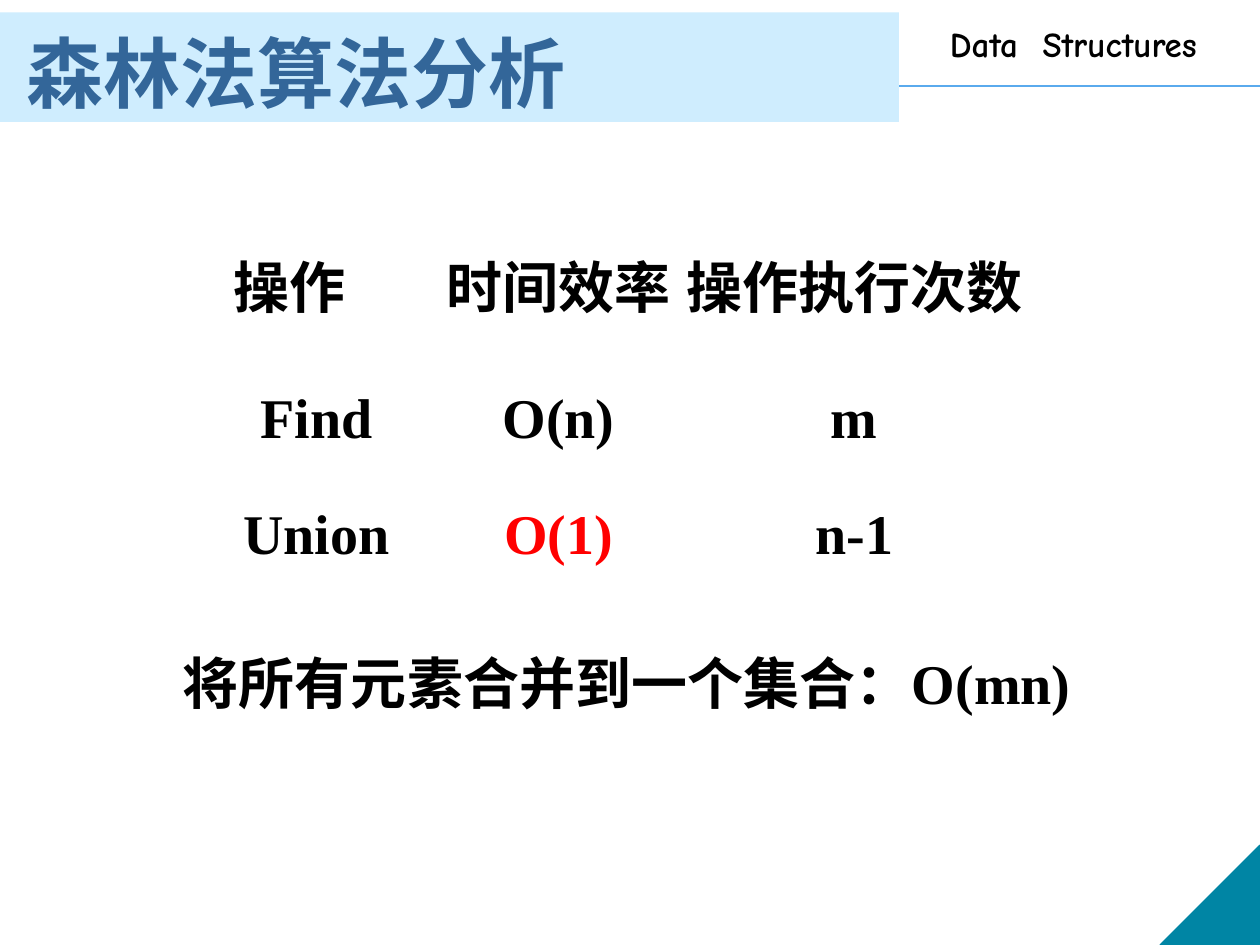
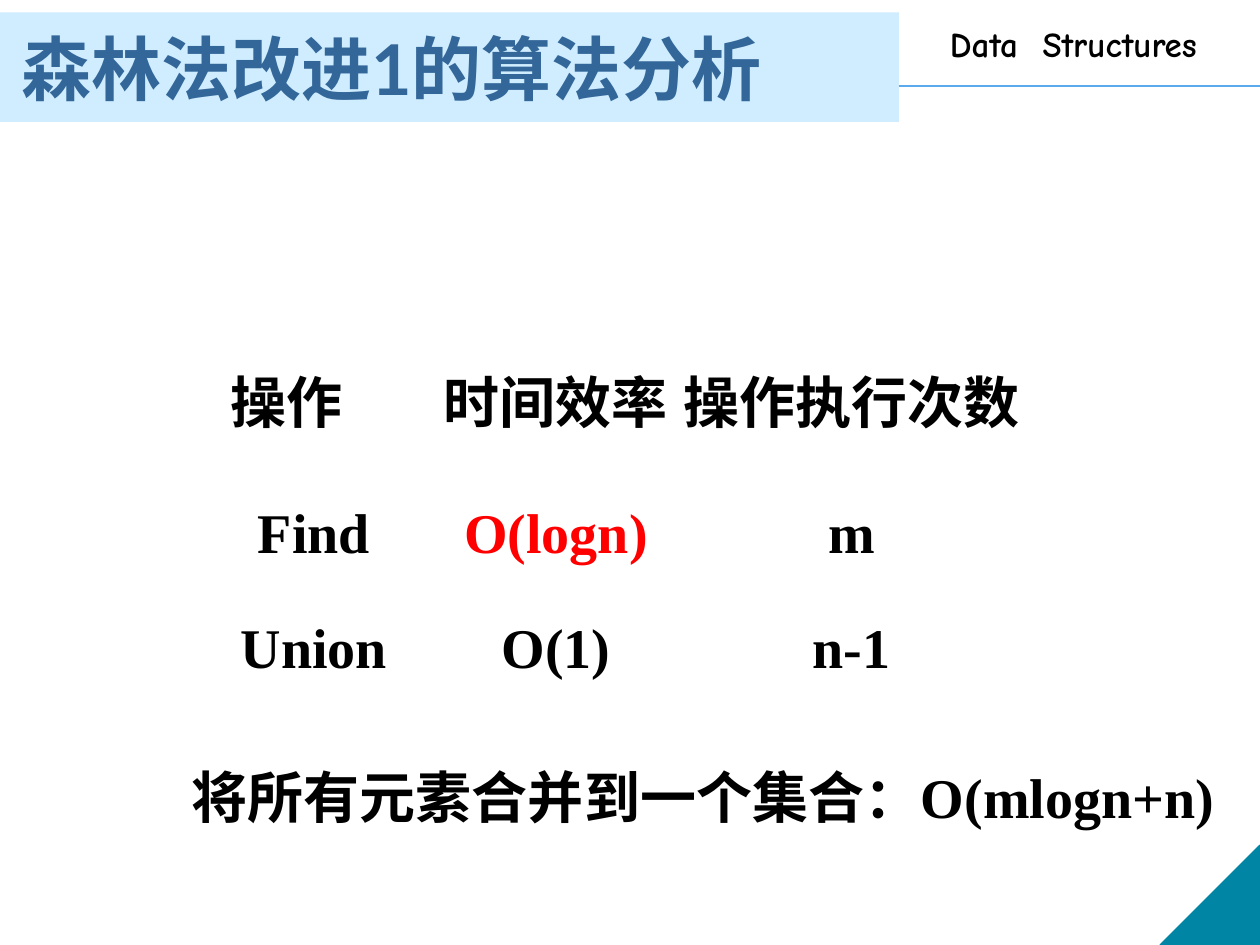
from dataclasses import dataclass

from lxml.etree import SubElement
from pptx import Presentation
from pptx.dml.color import RGBColor
from pptx.enum.shapes import MSO_CONNECTOR, MSO_SHAPE
from pptx.enum.text import MSO_ANCHOR, MSO_AUTO_SIZE, PP_ALIGN
from pptx.oxml.ns import qn
from pptx.util import Cm, Pt


@dataclass(frozen=True)
class Theme:
    black: str = "000000"
    white: str = "FFFFFF"
    red: str = "FF0000"
    navy: str = "336699"
    teal: str = "0085A4"
    pale: str = "CFEDFE"
    sky: str = "5AAAED"
    head: str = "Lato"
    serif: str = "Times New Roman"
    comic: str = "Comic Neue"
    body: int = 32
    label: int = 20


THEME = Theme()
WIDTH, HEIGHT = 25.4, 19.05
COLS = (4.88, 4.88, 7.04)
ROWS = (3.14, 2.33, 2.33)
HEADS = ("操作", "时间效率", "操作执行次数")
INDENT = Pt(THEME.body)


def rgb(code):
    return RGBColor.from_string(code)


def write(frame, text, font=THEME.serif, size=THEME.body, color=THEME.black,
          align=PP_ALIGN.LEFT, anchor=MSO_ANCHOR.TOP, indent=0, tab=0):
    frame.word_wrap = True
    frame.vertical_anchor = anchor
    para = frame.paragraphs[0]
    para.alignment = align
    props = para._p.get_or_add_pPr()
    if indent:
        props.set("indent", str(indent))
    if tab:
        stops = SubElement(props, qn("a:tabLst"))
        SubElement(stops, qn("a:tab"), pos=str(tab), algn="l")
    run = para.add_run()
    run.text = text
    run.font.name = font
    run.font.size = Pt(size)
    run.font.bold = True
    run.font.color.rgb = rgb(color)


def add_block(slide, kind, box, color, edge=None):
    block = slide.shapes.add_shape(kind, *map(Cm, box))
    block.shadow.inherit = False
    block.fill.solid()
    block.fill.fore_color.rgb = rgb(color)
    if edge:
        block.line.color.rgb = rgb(color)
        block.line.width = Pt(edge)
    else:
        block.line.fill.background()
    return block


def add_frame(slide):
    rule = slide.shapes.add_connector(
        MSO_CONNECTOR.STRAIGHT, 0, Cm(1.73), Cm(WIDTH), Cm(1.73))
    rule.line.color.rgb = rgb(THEME.sky)
    rule.line.width = Pt(1)
    SubElement(rule.element.spPr, qn("a:effectLst"))
    side = 2.01
    corner = add_block(slide, MSO_SHAPE.RIGHT_TRIANGLE,
                       (WIDTH - side, HEIGHT - side, side, side),
                       THEME.teal, edge=0.75)
    corner.element.spPr.xfrm.set("flipH", "1")
    label = slide.shapes.add_textbox(Cm(18.9), Cm(0.33), Cm(6.6), Cm(1.09))
    write(label.text_frame, "Data\tStructures", font=THEME.comic,
          size=THEME.label, tab=Cm(1.87))
    add_block(slide, MSO_SHAPE.RECTANGLE, (0, 0.25, 18.12, 2.21), THEME.pale)


def set_title(slide, text, left, top, size):
    title = slide.shapes.title
    title.left, title.top = Cm(left), Cm(top)
    title.width, title.height = Cm(21.59), Cm(2.13)
    title.text_frame.auto_size = MSO_AUTO_SIZE.NONE
    write(title.text_frame, text, font=THEME.head, size=size,
          color=THEME.navy, anchor=MSO_ANCHOR.BOTTOM)
    slide.shapes.element.append(title.element)


def set_edges(cell):
    props = cell._tc.get_or_add_tcPr()
    for spot, side in enumerate(("lnL", "lnR", "lnT", "lnB")):
        line = props.makeelement(qn(f"a:{side}"), {"w": str(Pt(0.5))})
        fill = SubElement(line, qn("a:solidFill"))
        SubElement(fill, qn("a:srgbClr"), val=THEME.white)
        props.insert(spot, line)


def add_costs(slide, left, top, costs, mark):
    grid = slide.shapes.add_table(
        len(ROWS), len(COLS), Cm(left), Cm(top),
        Cm(sum(COLS)), Cm(sum(ROWS))).table
    grid.first_row = grid.horz_banding = False
    for col, width in zip(grid.columns, COLS):
        col.width = Cm(width)
    for row, height in zip(grid.rows, ROWS):
        row.height = Cm(height)
    for r, texts in enumerate((HEADS, *costs)):
        for c, text in enumerate(texts):
            cell = grid.cell(r, c)
            cell.fill.background()
            set_edges(cell)
            cell.margin_left = cell.margin_right = cell.margin_top = Cm(0.03)
            cell.margin_bottom = 0
            cell.vertical_anchor = MSO_ANCHOR.MIDDLE
            write(cell.text_frame, text, align=PP_ALIGN.CENTER,
                  anchor=None, color=THEME.red if text == mark else THEME.black)
    grid.cell(0, 0).margin_right = INDENT


def add_note(slide, left, top, total):
    note = slide.shapes.add_textbox(Cm(left), Cm(top), Cm(22.5), Cm(1.63))
    write(note.text_frame, f"将所有元素合并到一个集合：{total}", indent=INDENT)


def add_study(deck, title, table, note):
    slide = deck.slides.add_slide(deck.slide_layouts[5])
    add_frame(slide)
    set_title(slide, **title)
    add_costs(slide, **table)
    add_note(slide, **note)


def main():
    deck = Presentation()
    deck.slide_width, deck.slide_height = Cm(WIDTH), Cm(HEIGHT)
    add_study(
        deck,
        title=dict(text="森林法算法分析", left=0.28, top=0.38, size=44),
        table=dict(left=3.94, top=4.14, mark="O(1)",
                   costs=(("Find", "O(n)", "m"), ("Union", "O(1)", "n-1"))),
        note=dict(left=2.31, top=12.95, total="O(mn)"))
    add_study(
        deck,
        title=dict(text="森林法改进1的算法分析", left=0.18, top=0.2, size=40),
        table=dict(left=3.89, top=6.45, mark="O(logn)",
                   costs=(("Find", "O(logn)", "m"), ("Union", "O(1)", "n-1"))),
        note=dict(left=2.49, top=15.24, total="O(mlogn+n)"))
    deck.save("out.pptx")


if __name__ == "__main__":
    main()
